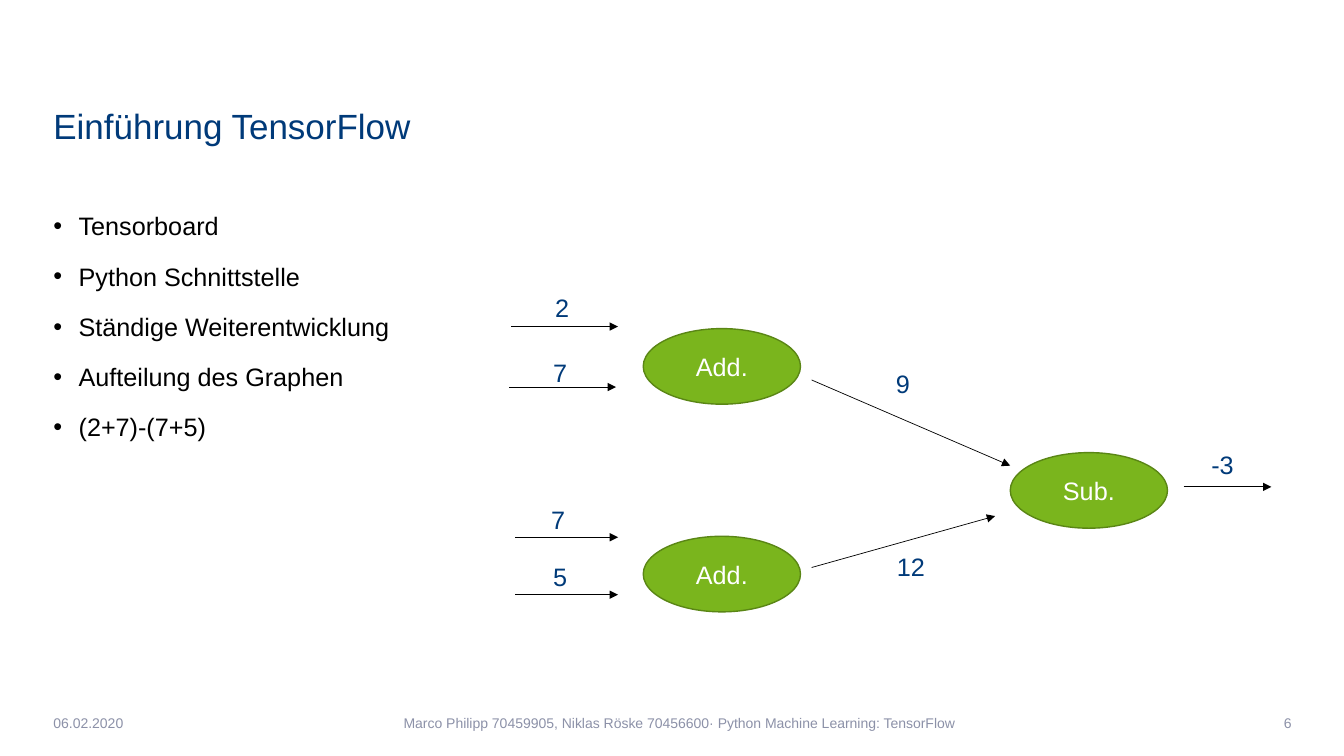
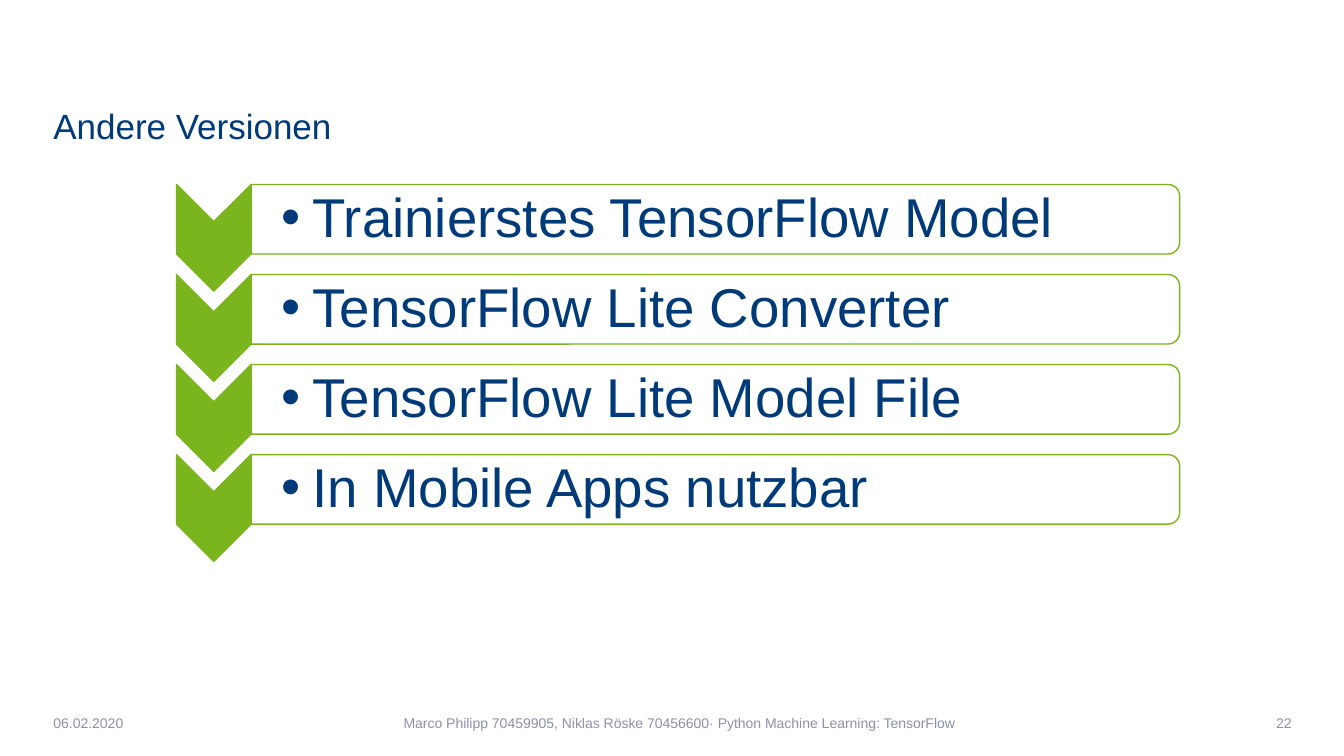
from lxml import etree
from pptx import Presentation
from pptx import util as u
from pptx.dml import color
from pptx.enum import shapes, text
from pptx.oxml import ns

HUES = {
    "navy": "003A79",
    "green": "7AB51D",
    "moss": "5A8615",
    "gray": "8C91A8",
    "black": "000000",
    "white": "FFFFFF",
}
FONT = "Arial"
DATE = "06.02.2020"
FOOT = "Marco Philipp 70459905, Niklas Röske 70456600· Python Machine Learning: TensorFlow"
KIND = shapes.MSO_SHAPE
SIDE = text.PP_ALIGN
EDGE = text.MSO_ANCHOR


def rgb(hue):
    """Return the named colour."""
    return color.RGBColor.from_string(HUES[hue])


def place(item, left, top, width, height):
    """Move and size an item, in inches."""
    item.left, item.top = u.Inches(left), u.Inches(top)
    item.width, item.height = u.Inches(width), u.Inches(height)


def style(par, size, hue, side=SIDE.LEFT):
    """Set the font and alignment of a paragraph."""
    par.font.name, par.font.size = FONT, u.Pt(size)
    par.font.color.rgb = rgb(hue)
    par.alignment = side


def inset(frame, left=0, rest=0):
    """Set the margins of a text frame."""
    frame.margin_left = u.Inches(left)
    frame.margin_top = frame.margin_right = frame.margin_bottom = u.Inches(rest)


def bullet(par, depth):
    """Give a paragraph a hanging round bullet."""
    props = par._p.get_or_add_pPr()
    props.set("marL", str(u.Inches(depth)))
    props.set("indent", str(-u.Inches(depth)))
    etree.SubElement(props, ns.qn("a:buFont"), typeface=FONT)
    etree.SubElement(props, ns.qn("a:buChar"), char="•")


def label(slide, words, box, size, hue, side=SIDE.LEFT):
    """Add a text box and return its frame."""
    frame = slide.shapes.add_textbox(*map(u.Inches, box)).text_frame
    frame.word_wrap = True
    frame.text = words
    style(frame.paragraphs[0], size, hue, side)
    return frame


def shape(slide, kind, box, fill, line):
    """Add a filled and outlined preset shape."""
    item = slide.shapes.add_shape(kind, *map(u.Inches, box))
    item.shadow.inherit = False
    item.fill.solid()
    item.fill.fore_color.rgb = rgb(fill)
    item.line.color.rgb = rgb(line)
    item.line.width = u.Pt(1)
    return item


def turned(slide, kind, box, fill, line):
    """Add a shape turned a quarter right that covers the given box."""
    left, top, width, height = box
    shift = (width - height) / 2
    item = shape(slide, kind, (left + shift, top - shift, height, width), fill, line)
    item.rotation = 90
    return item


def arrow(slide, start, end):
    """Add a thin black arrow."""
    item = slide.shapes.add_connector(
        shapes.MSO_CONNECTOR.STRAIGHT, *map(u.Inches, start + end))
    item.line.color.rgb = rgb("black")
    item.line.width = u.Pt(0.5)
    etree.SubElement(item.line._get_or_add_ln(), ns.qn("a:tailEnd"), type="triangle")
    etree.SubElement(item._element.spPr, ns.qn("a:effectLst"))


def page(deck, layout, title, number):
    """Add a slide with its title and footer."""
    slide = deck.slides.add_slide(deck.slide_layouts[layout])
    head = slide.shapes.title
    place(head, 0.53, 1.08, 12.28, 0.75)
    frame = head.text_frame
    frame.text = title
    frame.vertical_anchor = EDGE.TOP
    frame.auto_size = text.MSO_AUTO_SIZE.NONE
    inset(frame)
    par = frame.paragraphs[0]
    style(par, 25, "navy")
    par.line_spacing = 0.9
    for words, left, width, side in (
        (DATE, 0.53, 1.28, SIDE.LEFT),
        (FOOT, 1.91, 9.65, SIDE.CENTER),
        (str(number), 11.63, 1.18, SIDE.RIGHT),
    ):
        inset(label(slide, words, (left, 7.09, width, 0.2), 10, "gray", side))
    return slide


def points(slide, box, lines):
    """Fill the body placeholder with a bullet list."""
    body = slide.placeholders[1]
    place(body, *box)
    frame = body.text_frame
    frame.text = "\n".join(lines)
    frame.auto_size = text.MSO_AUTO_SIZE.NONE
    inset(frame)
    for par in frame.paragraphs:
        style(par, 18, "black")
        par.line_spacing = 1.2
        par.space_before = u.Pt(10)
        bullet(par, 0.25)


def graph(slide, left, top):
    """Draw the computation graph from its top left corner."""
    nodes = (("Add.", 1.33, 0.41), ("Add.", 1.33, 2.47), ("Sub.", 4.97, 1.64))
    edges = (
        ("2", (0.04, 0), (0.02, 0.39), (1.08, 0.39)),
        ("7", (0.02, 0.65), (0, 0.99), (1.06, 0.99)),
        ("7", (0, 2.1), (0.06, 2.48), (1.08, 2.48)),
        ("5", (0.02, 2.67), (0.06, 3.05), (1.08, 3.05)),
        ("9", (3.42, 0.75), (3, 0.92), (4.97, 1.77)),
        ("12", (3.5, 2.57), (3, 2.78), (4.82, 2.27)),
        ("-3", (6.59, 1.56), (6.69, 1.98), (7.56, 1.98)),
    )

    def at(spot):
        """Shift a spot by the corner of the graph."""
        return left + spot[0], top + spot[1]

    for name, *spot in nodes:
        node = shape(slide, KIND.OVAL, at(spot) + (1.56, 0.75), "green", "moss")
        frame = node.text_frame
        frame.text = name
        frame.vertical_anchor = EDGE.MIDDLE
        style(frame.paragraphs[0], 18, "white", SIDE.CENTER)
    for value, spot, start, end in edges:
        arrow(slide, at(start), at(end))
        label(slide, value, at(spot) + (0.97, 0.4), 18, "navy", SIDE.CENTER)


def steps(slide, box, lines):
    """Stack chevrons with a framed line of text beside each."""
    left, top, width, height = box
    wide, tall, bar = 0.74, 1.06, 0.69
    pitch = (height - tall) / (len(lines) - 1)
    for i, words in enumerate(lines):
        y, x = top + i * pitch, left + wide
        turned(slide, KIND.CHEVRON, (left, y, wide, tall), "green", "green")
        card = turned(slide, KIND.ROUND_2_SAME_RECTANGLE,
                      (x, y, width - wide, bar), "white", "green")
        tint = card._element.spPr.find(".//" + ns.qn("a:srgbClr"))
        etree.SubElement(tint, ns.qn("a:alpha"), val="90000")
        frame = label(slide, words, (x, y + 0.04, width - wide, 0.62), 39, "navy")
        frame.vertical_anchor = EDGE.MIDDLE
        inset(frame, 0.3, 0.03)
        par = frame.paragraphs[0]
        par.line_spacing = 0.9
        bullet(par, 0.31)


def main():
    """Build and save the deck."""
    deck = Presentation()
    deck.slide_width, deck.slide_height = u.Inches(13.33), u.Inches(7.5)
    intro = page(deck, 1, "Einführung TensorFlow", 6)
    points(intro, (0.53, 2.03, 12.28, 4.95), (
        "Tensorboard", "Python Schnittstelle", "Ständige Weiterentwicklung",
        "Aufteilung des Graphen", "(2+7)-(7+5)"))
    graph(intro, 5.05, 2.85)
    other = page(deck, 5, "Andere Versionen", 22)
    steps(other, (1.75, 1.83, 9.95, 3.74), (
        "Trainierstes TensorFlow Model", "TensorFlow Lite Converter",
        "TensorFlow Lite Model File", "In Mobile Apps nutzbar"))
    deck.save("out.pptx")


if __name__ == "__main__":
    main()
